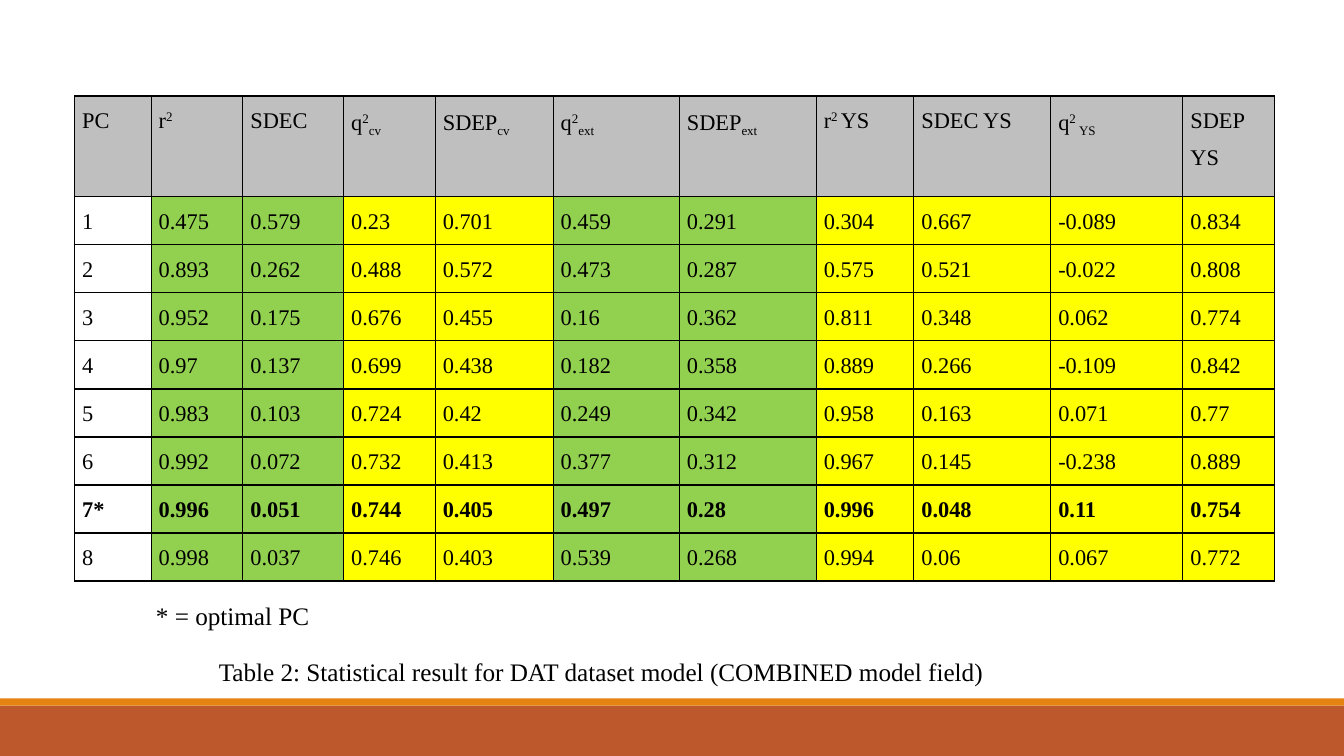
import pptx
import pptx.util
import pptx.dml.color
import pptx.enum.shapes
import pptx.enum.text
import pptx.oxml.ns
from lxml import etree
from pptx.util import Cm

COLORS = {
    "text": "000000",
    "head": "BFBFBF",
    "green": "92D050",
    "yellow": "FFFF00",
    "rust": "BD582C",
    "orange": "E48312",
}
FACE = "Times New Roman"
ALIGN = pptx.enum.text.PP_ALIGN
SUP, SUB = 30, -25

# Each heading is a list of (text, baseline shift in percent)
HEADS = [
    [("PC", 0)],
    [("r", 0), ("2", SUP)],
    [("SDEC", 0)],
    [("q", 0), ("2", SUP), ("cv", SUB)],
    [("SDEP", 0), ("cv", SUB)],
    [("q", 0), ("2", SUP), ("ext", SUB)],
    [("SDEP", 0), ("ext", SUB)],
    [("r", 0), ("2 ", SUP), ("YS", 0)],
    [("SDEC YS", 0)],
    [("q", 0), ("2 ", SUP), ("YS", SUB)],
    [("SDEP YS", 0)],
]
ROWS = [
    "1 0.475 0.579 0.23 0.701 0.459 0.291 0.304 0.667 -0.089 0.834",
    "2 0.893 0.262 0.488 0.572 0.473 0.287 0.575 0.521 -0.022 0.808",
    "3 0.952 0.175 0.676 0.455 0.16 0.362 0.811 0.348 0.062 0.774",
    "4 0.97 0.137 0.699 0.438 0.182 0.358 0.889 0.266 -0.109 0.842",
    "5 0.983 0.103 0.724 0.42 0.249 0.342 0.958 0.163 0.071 0.77",
    "6 0.992 0.072 0.732 0.413 0.377 0.312 0.967 0.145 -0.238 0.889",
    "7* 0.996 0.051 0.744 0.405 0.497 0.28 0.996 0.048 0.11 0.754",
    "8 0.998 0.037 0.746 0.403 0.539 0.268 0.994 0.06 0.067 0.772",
]
WIDTHS = [1.93, 2.31, 2.54, 2.31, 2.97, 3.18, 3.45, 2.46, 3.45, 3.33, 2.31]
FILLS = [None] + ["green"] * 2 + ["yellow"] * 2 + ["green"] * 2 + ["yellow"] * 4
HEAD_H, ROW_H = 2.54, 1.21


def rgb(name):
    return pptx.dml.color.RGBColor.from_string(COLORS[name])


def write(para, parts, size, align=ALIGN.JUSTIFY, bold=False):
    para.alignment = align
    para.line_spacing = 1.5
    para.space_after = pptx.util.Pt(8)
    for text, shift in parts:
        run = para.add_run()
        run.text = text
        run.font.name = FACE
        run.font.size = pptx.util.Pt(size)
        run.font.bold = bold
        run.font.color.rgb = rgb("text")
        if shift:
            run._r.get_or_add_rPr().set("baseline", str(shift * 1000))


def border(cell):
    props = cell._tc.get_or_add_tcPr()
    qn = pptx.oxml.ns.qn
    for side in ("a:lnL", "a:lnR", "a:lnT", "a:lnB"):
        line = etree.SubElement(props, qn(side), w="12700")
        fill = etree.SubElement(line, qn("a:solidFill"))
        etree.SubElement(fill, qn("a:srgbClr"), val=COLORS["text"])


def fill_cell(cell, parts, color, bold=False):
    cell.margin_left = cell.margin_right = Cm(0.19)
    cell.margin_top = cell.margin_bottom = 0
    border(cell)
    if color:
        cell.fill.solid()
        cell.fill.fore_color.rgb = rgb(color)
    else:
        cell.fill.background()
    write(cell.text_frame.paragraphs[0], parts, 16, bold=bold)


def add_band(slide, top, height, color):
    kind = pptx.enum.shapes.MSO_SHAPE.RECTANGLE
    band = slide.shapes.add_shape(kind, 0, Cm(top), Cm(33.87), Cm(height))
    band.shadow.inherit = False
    band.fill.solid()
    band.fill.fore_color.rgb = rgb(color)
    band.line.fill.background()


def add_stats(slide):
    count = len(ROWS)
    frame = slide.shapes.add_table(
        count + 1, len(HEADS), Cm(1.88), Cm(2.42),
        Cm(sum(WIDTHS)), Cm(HEAD_H + count * ROW_H))
    table = frame.table
    table.first_row = table.horz_banding = False
    for col, width in zip(table.columns, WIDTHS):
        col.width = Cm(width)
    for row in table.rows:
        row.height = Cm(ROW_H)
    table.rows[0].height = Cm(HEAD_H)

    for c, parts in enumerate(HEADS):
        fill_cell(table.cell(0, c), parts, "head")
    for r, row in enumerate(ROWS, 1):
        best = "*" in row
        for c, value in enumerate(row.split()):
            fill_cell(table.cell(r, c), [(value, 0)], FILLS[c], best)


def add_notes(slide):
    box = slide.shapes.add_textbox(Cm(3.68), Cm(14.61), Cm(22.94), Cm(2.74))
    frame = box.text_frame
    frame.word_wrap = True
    write(frame.paragraphs[0], [("* = optimal PC", 0)], 18)
    label = "Table 2: Statistical result for DAT dataset model (COMBINED model field)"
    write(frame.add_paragraph(), [(label, 0)], 18, ALIGN.CENTER)


def main():
    deck = pptx.Presentation()
    deck.slide_width, deck.slide_height = Cm(33.87), Cm(19.05)
    slide = deck.slides.add_slide(deck.slide_layouts[6])

    # Footer bands
    add_band(slide, 17.78, 1.27, "rust")
    add_band(slide, 17.6, 0.18, "orange")

    # Table with its footnote and caption
    add_stats(slide)
    add_notes(slide)
    deck.save("out.pptx")


if __name__ == "__main__":
    main()
